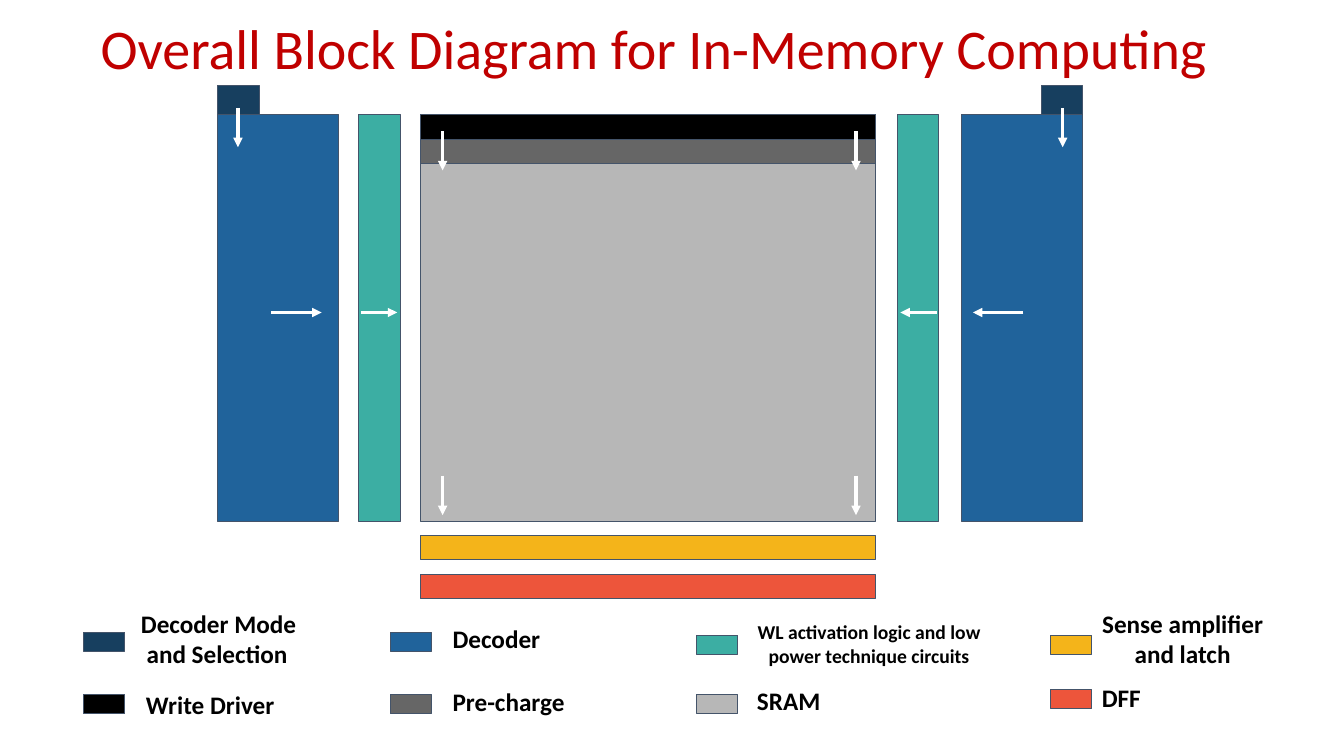
from lxml import etree
from pptx import Presentation
from pptx.dml.color import RGBColor
from pptx.enum.shapes import MSO_CONNECTOR, MSO_SHAPE
from pptx.enum.text import MSO_ANCHOR, MSO_AUTO_SIZE, PP_ALIGN
from pptx.oxml.ns import qn
from pptx.util import Inches, Pt

RECTANGLE, STRAIGHT = MSO_SHAPE.RECTANGLE, MSO_CONNECTOR.STRAIGHT
LEFT, CENTER, TOP = PP_ALIGN.LEFT, PP_ALIGN.CENTER, MSO_ANCHOR.TOP
FIT_SHAPE = MSO_AUTO_SIZE.SHAPE_TO_FIT_TEXT

FONT = "Calibri"
MODE, DECODER, WORDLINE = "173F5F", "20639B", "3CAEA3"
WRITE, PRECHARGE, SRAM = "000000", "666666", "B7B7B7"
SENSE, DFF = "F4B41A", "ED553B"
OUTLINE, WHITE, BLACK, RED = "44546A", "FFFFFF", "000000", "C00000"

# Block grid, in inches
ARRAY_LEFT, ARRAY_TOP, ARRAY_WIDTH, ARRAY_HEIGHT = 4.17, 1.14, 4.51, 4.03
STRIP, UNIT = 0.24, 0.41
MODE_HEIGHT, KEY_HEIGHT = 0.29, 0.19


def add_block(left, top, width, height, color):
    block = page.shapes.add_shape(
        RECTANGLE, Inches(left), Inches(top), Inches(width), Inches(height))
    block.shadow.inherit = False
    block.fill.solid()
    block.fill.fore_color.rgb = RGBColor.from_string(color)
    block.line.color.rgb = RGBColor.from_string(OUTLINE)
    block.line.width = Pt(0.75)


def write_lines(box, lines, size, color, bold, align):
    """Fill a text frame with one paragraph for each line."""
    frame = box.text_frame
    frame.word_wrap = True
    frame.vertical_anchor = TOP
    for index, line in enumerate(lines):
        para = frame.add_paragraph() if index else frame.paragraphs[0]
        para.alignment = align
        span = para.add_run()
        span.text = line
        span.font.name = FONT
        span.font.size = Pt(size)
        span.font.bold = bold
        span.font.color.rgb = RGBColor.from_string(color)


deck = Presentation()
deck.slide_width, deck.slide_height = Inches(13.33), Inches(7.5)
page = deck.slides.add_slide(deck.slide_layouts[5])

title = page.shapes.title
title.left, title.top = Inches(0.83), Inches(0.08)
title.width, title.height = Inches(11.31), Inches(0.77)
write_lines(title, ["Overall Block Diagram for In-Memory Computing"],
            40, RED, False, CENTER)
title.text_frame.auto_size = FIT_SHAPE

# Memory array, with its drivers on top and its outputs below
add_block(ARRAY_LEFT, ARRAY_TOP, ARRAY_WIDTH, ARRAY_HEIGHT, SRAM)
for top, color in [(ARRAY_TOP, WRITE), (ARRAY_TOP + STRIP, PRECHARGE),
                   (5.31, SENSE), (5.7, DFF)]:
    add_block(ARRAY_LEFT, top, ARRAY_WIDTH, STRIP, color)

# Decoders, word-line logic and mode selection on both sides
for decoder_left, logic_left, mode_left in [(2.16, 3.56, 2.16),
                                            (9.54, 8.9, 10.33)]:
    add_block(decoder_left, ARRAY_TOP, 1.2, ARRAY_HEIGHT, DECODER)
    add_block(logic_left, ARRAY_TOP, UNIT, ARRAY_HEIGHT, WORDLINE)
    add_block(mode_left, ARRAY_TOP - MODE_HEIGHT, UNIT, MODE_HEIGHT, MODE)

# Legend: key left and top, color, label left, top, width and height, lines, size, alignment
legend = [
    (0.83, 6.27, MODE, 1.3, 5.93, 1.9, 0.71, ["Decoder Mode", " and Selection"], 18, LEFT),
    (3.87, 6.27, DECODER, 4.39, 6.08, 1.9, 0.71, ["Decoder"], 18, LEFT),
    (6.91, 6.3, WORDLINE, 7.41, 6.05, 2.42, 0.71,
     ["WL activation logic and low power technique circuits"], 14, CENTER),
    (10.42, 6.3, SENSE, 10.78, 5.93, 1.9, 0.71, ["Sense amplifier and latch"], 18, CENTER),
    (0.83, 6.89, WRITE, 1.35, 6.74, 1.9, 0.59, ["Write Driver"], 18, LEFT),
    (3.87, 6.89, PRECHARGE, 4.39, 6.71, 1.9, 0.65, ["Pre-charge"], 18, LEFT),
    (6.91, 6.89, SRAM, 7.41, 6.7, 1.9, 0.59, ["SRAM"], 18, LEFT),
    (10.42, 6.84, DFF, 10.83, 6.67, 1.9, 0.65, ["DFF"], 18, LEFT),
]
for key_left, key_top, color, left, top, width, height, lines, size, align in legend:
    add_block(key_left, key_top, UNIT, KEY_HEIGHT, color)
    label = page.shapes.add_textbox(
        Inches(left), Inches(top), Inches(width), Inches(height))
    frame = label.text_frame
    frame.margin_left = frame.margin_right = Inches(0.1)
    frame.margin_top = frame.margin_bottom = Inches(0.1)
    write_lines(label, lines, size, BLACK, True, align)

# Signal flow: inward along the rows, downward along the columns
arrows = [(start, 3.1, end, 3.1) for start, end in
          [(2.69, 3.19), (3.58, 3.94), (10.15, 9.65), (9.29, 8.93)]]
arrows += [(x, top, x, top + 0.39) for x, top in
           [(2.36, 1.07), (10.54, 1.07), (4.39, 1.3), (8.49, 1.3),
            (4.39, 4.72), (8.49, 4.72)]]
for ends in arrows:
    arrow = page.shapes.add_connector(STRAIGHT, *[Inches(value) for value in ends])
    arrow.line.color.rgb = RGBColor.from_string(WHITE)
    arrow.line.width = Pt(2.25)
    etree.SubElement(arrow.line._get_or_add_ln(), qn("a:tailEnd"), type="triangle")
    etree.SubElement(arrow._element.spPr, qn("a:effectLst"))

deck.save("out.pptx")
